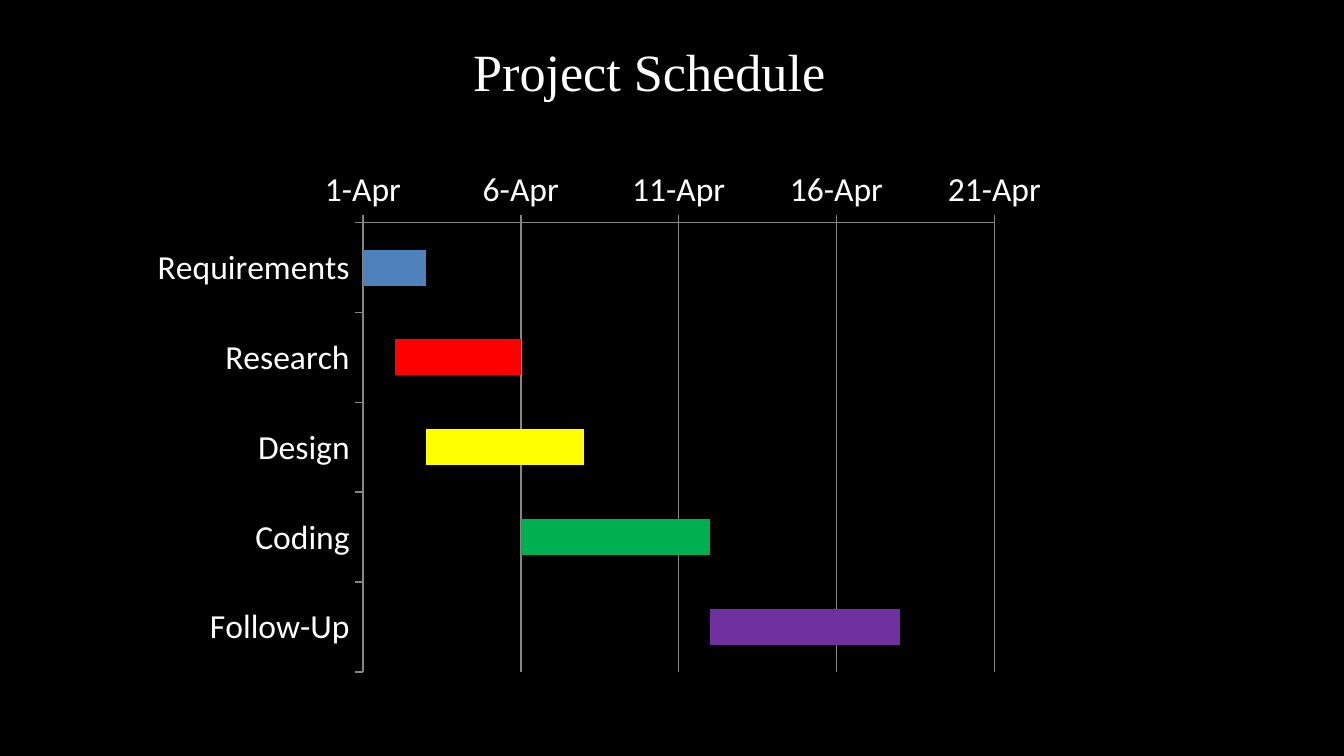
from lxml.etree import SubElement
from pptx import Presentation
from pptx.chart.data import CategoryChartData
from pptx.dml.color import RGBColor
from pptx.enum.chart import XL_CHART_TYPE, XL_TICK_MARK
from pptx.enum.text import MSO_ANCHOR, PP_ALIGN
from pptx.oxml.ns import qn
from pptx.util import Inches, Pt

TITLE = "Project Schedule"
FIRST_DAY = 45383
DAYS_SHOWN = 20
DAYS_PER_TICK = 5
TASKS = [
    ("Requirements", 0, 2, "4F81BD"),
    ("Research", 1, 4, "FF0000"),
    ("Design", 2, 5, "FFFF00"),
    ("Coding", 5, 6, "00B050"),
    ("Follow-Up", 11, 6, "7030A0"),
]
PLOT_SHARES = {"x": 0.202, "y": 0.168, "w": 0.558, "h": 0.772}
BLACK, WHITE, GRAY = "000000", "FFFFFF", "868686"


def color(value):
    return RGBColor.from_string(value)


def format_font(font, name, size, value):
    font.name, font.size = name, Pt(size)
    font.color.rgb = color(value)


def add_title(slide, text, font, size, value):
    box = slide.shapes.title
    box.left, box.top, box.width, box.height = map(Inches, (3.42, 0.24, 2.85, 0.57))
    frame = box.text_frame
    frame.word_wrap = False
    frame.vertical_anchor = MSO_ANCHOR.TOP
    para = frame.paragraphs[0]
    para.alignment = PP_ALIGN.LEFT
    span = para.add_run()
    span.text = text
    format_font(span.font, font, size, value)


def place_plot(chart, shares):
    """Fix the inner plot area at shares of the chart's size."""
    area = chart.plots[0]._element.getparent()
    layout = area.find(qn("c:layout"))
    if layout is None:
        layout = SubElement(area, qn("c:layout"))
        area.insert(0, layout)
    manual = SubElement(layout, qn("c:manualLayout"))
    settings = {"layoutTarget": "inner", "xMode": "edge", "yMode": "edge", **shares}
    for name, value in settings.items():
        SubElement(manual, qn(f"c:{name}")).set("val", str(value))


def format_axis(axis):
    axis.major_tick_mark = XL_TICK_MARK.OUTSIDE
    axis.minor_tick_mark = XL_TICK_MARK.NONE
    axis.format.line.color.rgb = color(GRAY)
    axis.format.line.width = Pt(0.75)
    format_font(axis.tick_labels.font, "Calibri", 18, WHITE)


def add_schedule(slide, tasks):
    data = CategoryChartData()
    data.categories = [name for name, *_ in tasks]
    data.add_series("Series 1", [FIRST_DAY + start for _, start, _, _ in tasks])
    data.add_series("Series 2", [days for _, _, days, _ in tasks])
    chart = slide.shapes.add_chart(
        XL_CHART_TYPE.BAR_STACKED, *map(Inches, (1, 0.93, 8.42, 4.33)), data
    ).chart
    chart.has_title = chart.has_legend = False
    format_font(chart.font, "Calibri", 18, BLACK)
    place_plot(chart, PLOT_SHARES)

    plot = chart.plots[0]
    plot.gap_width, plot.overlap = 150, 100
    plot.vary_by_categories = False
    starts, durations = plot.series
    starts.format.fill.background()
    starts.format.line.fill.background()
    durations.format.fill.solid()
    durations.format.fill.fore_color.rgb = color("C0504D")
    for index, (*_, value) in enumerate(tasks):
        fill = durations.points[index].format.fill
        fill.solid()
        fill.fore_color.rgb = color(value)

    days = chart.value_axis
    for axis in (chart.category_axis, days):
        format_axis(axis)
    chart.category_axis.reverse_order = True
    days.minimum_scale = FIRST_DAY
    days.maximum_scale = FIRST_DAY + DAYS_SHOWN
    days.major_unit = DAYS_PER_TICK
    days.has_major_gridlines = True
    days.major_gridlines.format.line.color.rgb = color(GRAY)
    days.major_gridlines.format.line.width = Pt(0.75)
    days.tick_labels.number_format = r"[$-409]d\-mmm;@"
    days.tick_labels.number_format_is_linked = False


def main():
    deck = Presentation()
    deck.slide_width = Inches(10)
    deck.slide_height = deck.slide_width * 9 // 16
    page = deck.slides.add_slide(deck.slide_layouts[5])
    page.background.fill.solid()
    page.background.fill.fore_color.rgb = color(BLACK)
    add_schedule(page, TASKS)
    add_title(page, TITLE, font="Times New Roman", size=28, value=WHITE)
    deck.save("out.pptx")


if __name__ == "__main__":
    main()
